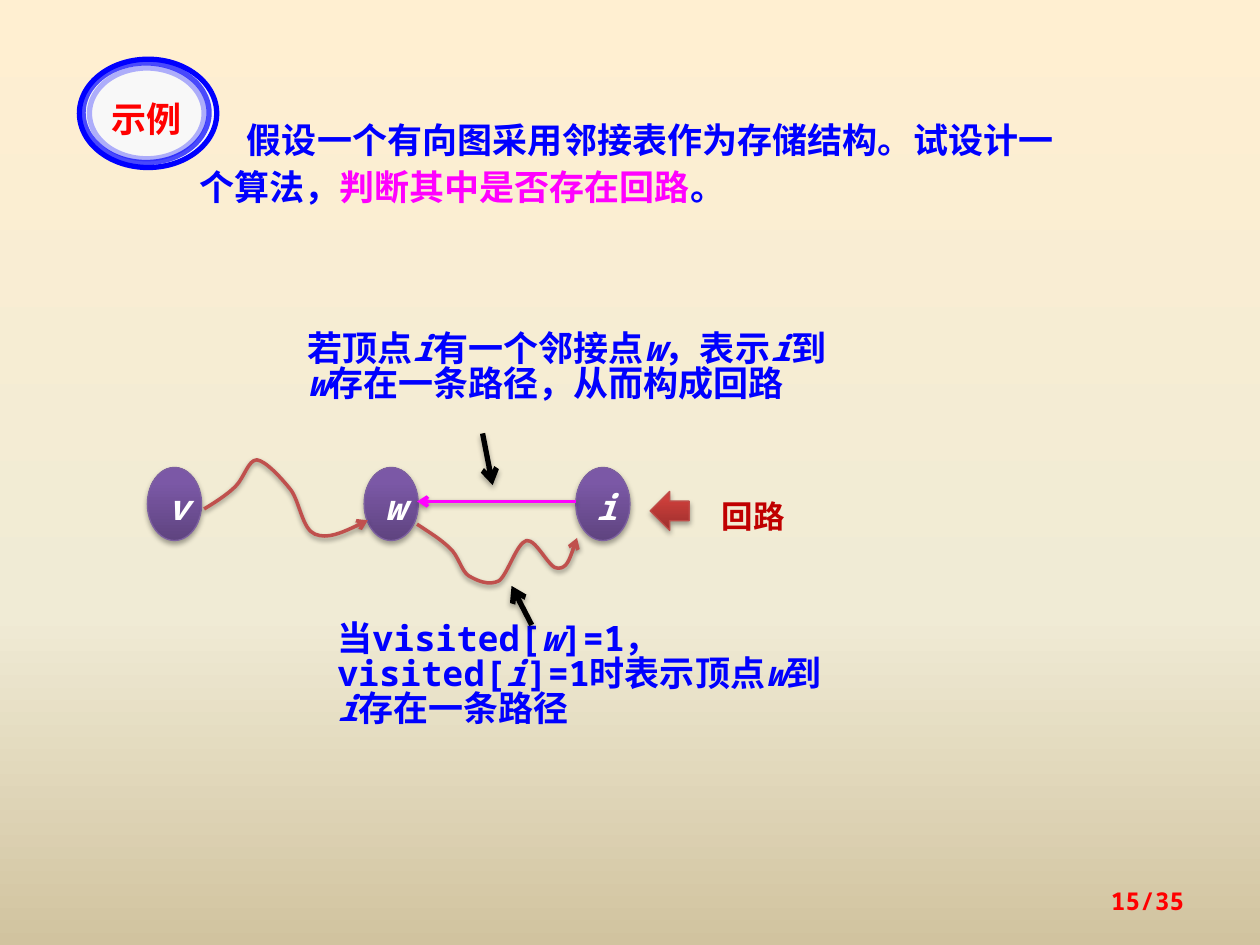
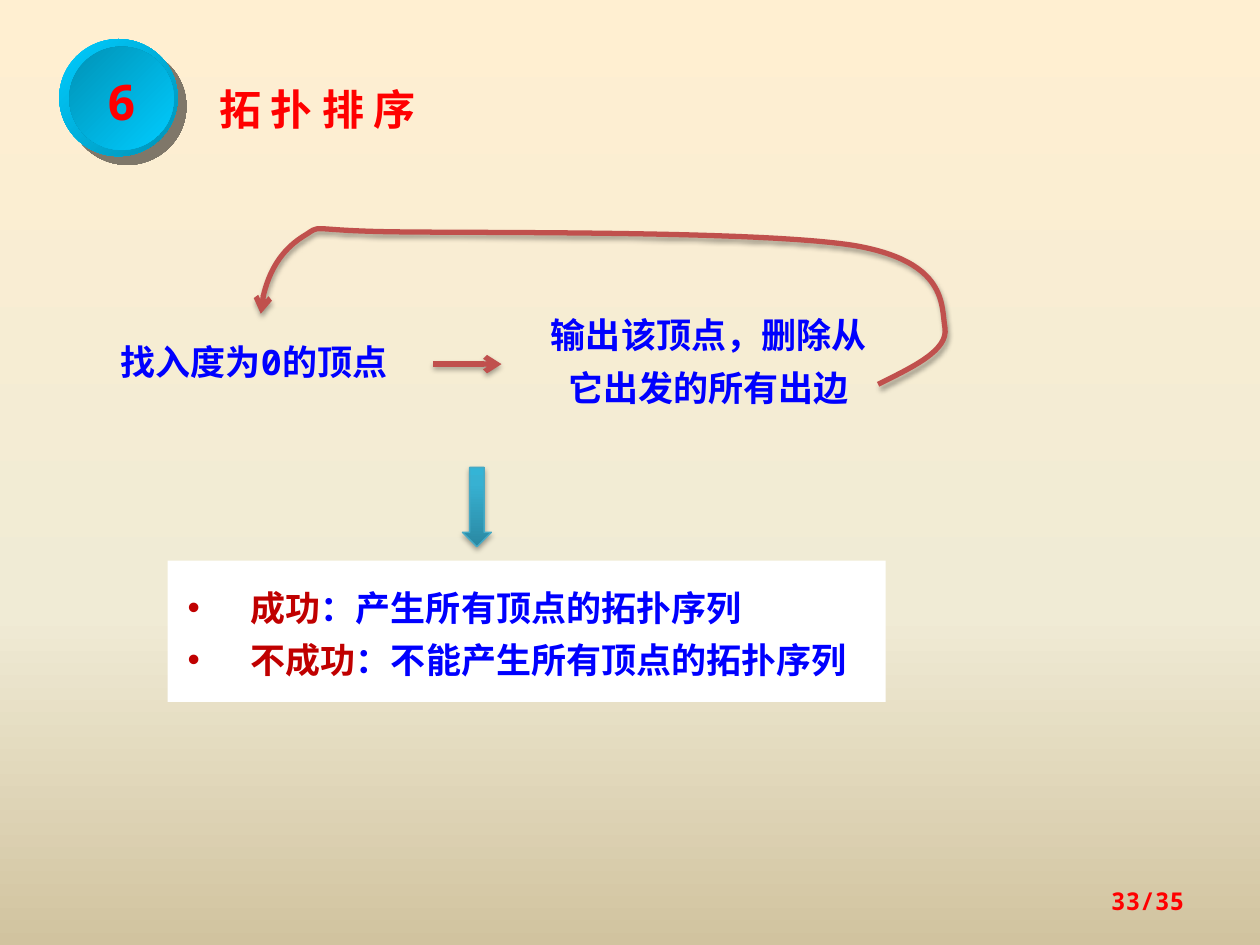
"""Build two slides on cycle detection in a digraph and on topological sorting."""
from dataclasses import dataclass, replace
from typing import Any, Optional

from lxml import etree
from pptx import Presentation
from pptx.dml.color import RGBColor
from pptx.enum.shapes import MSO_CONNECTOR, MSO_SHAPE
from pptx.enum.text import MSO_ANCHOR, MSO_AUTO_SIZE, PP_ALIGN
from pptx.oxml.ns import qn
from pptx.util import Emu, Pt

ELLIPSE, RECTANGLE = MSO_SHAPE.OVAL, MSO_SHAPE.RECTANGLE
LEFT_ARROW, DOWN_ARROW = MSO_SHAPE.LEFT_ARROW, MSO_SHAPE.DOWN_ARROW
STRAIGHT = MSO_CONNECTOR.STRAIGHT
TOP, MIDDLE = MSO_ANCHOR.TOP, MSO_ANCHOR.MIDDLE
LEFT, CENTER, RIGHT = PP_ALIGN.LEFT, PP_ALIGN.CENTER, PP_ALIGN.RIGHT
FIXED_SIZE = MSO_AUTO_SIZE.NONE

PX = 9144
SLIDE_WIDTH, SLIDE_HEIGHT = 1000, 750
TITLE_ONLY, TITLE_AND_CONTENT = 5, 1
BLUE, RED, MAGENTA, DARK_RED = "0000FF", "FF0000", "FF00FF", "C00000"
WHITE, BLACK, BRICK = "FFFFFF", "000000", "C0504D"
CYAN, TEAL = "00CCFF", "0092B6"
MONO, CHINESE = "Noto Sans Mono", "Noto Sans CJK SC"
EMPHASIS_MARK = "*"

Box = tuple[int, int, int, int]
Point = tuple[int, int]


@dataclass(frozen=True)
class Gradient:
    stops: tuple[tuple[int, str], ...]
    angle: int


@dataclass(frozen=True)
class Shadow:
    color: str = BLACK
    alpha: int = 35
    blur: float = 3.1
    distance: float = 1.8
    angle: int = 90


@dataclass(frozen=True)
class Stroke:
    color: str
    width: float
    alpha: int = 100


@dataclass(frozen=True)
class TextStyle:
    size: int = 20
    color: str = BLUE
    font: str = MONO
    italic: bool = False
    emphasis_color: str = ""
    emphasis_italic: bool = False
    spacing: Any = 1.1
    align: Any = LEFT
    anchor: Any = TOP
    margins: Box = (10, 5, 10, 5)
    indent: int = 0
    hanging: int = 0
    wrap: bool = True


@dataclass(frozen=True)
class Look:
    fill: Gradient
    stroke: Stroke


BACKGROUND = Gradient(((0, "FFEFD1"), (65, "F0EBD5"), (100, "D1C39F")), 90)
VERTEX = Look(Gradient(((0, "5F4480"), (80, "7B58A6"), (100, "7C57A8")), 270), Stroke("7D60A0", 0.75))
CYCLE_ARROW = Look(Gradient(((0, "9C2F2D"), (80, "CB3E3A"), (100, "CE3B37")), 270), Stroke("BF4C48", 0.75))
RESULT_ARROW = Look(Gradient(((0, "2A88A2"), (80, "37B1D2"), (100, "34B4D6")), 270), Stroke("46AAC5", 0.75))
SOFT_SHADOW = Shadow()
EDGE_SHADOW = Shadow(alpha=38, distance=1.6)
DISC_SHADOW = Shadow("020202", 50, 0, 7.1, 45)

NOTE = TextStyle(emphasis_italic=True, spacing=Pt(20))
STEP = TextStyle(spacing=Pt(30))
VERTEX_NAME = TextStyle(color=WHITE, italic=True, align=CENTER, anchor=MIDDLE)
PROBLEM = TextStyle(font="Times New Roman", emphasis_color=MAGENTA, indent=38)
HEADING = TextStyle(size=24, color=RED, indent=16)
OUTCOME = TextStyle(spacing=Pt(30), emphasis_color=DARK_RED, margins=(16, 12, 10, 16), hanging=50)
PAGE_NUMBER = TextStyle(size=14, color=RED, spacing=1.0, align=RIGHT, anchor=MIDDLE)


def rgb(color: str) -> RGBColor:
    """Turn a hex string into a colour."""
    return RGBColor.from_string(color)


def px(*lengths: int) -> list[Emu]:
    """Turn px lengths into EMU."""
    return [Emu(length * PX) for length in lengths]


def add_node(parent: Any, tag: str, **attributes: Any) -> Any:
    """Append an XML child with the given attributes."""
    return etree.SubElement(parent, qn(tag), {key: str(value) for key, value in attributes.items()})


def apply_gradient(fill: Any, element: Any, gradient: Gradient) -> None:
    """Give a fill that belongs to an element its gradient."""
    fill.gradient()
    stop_list = element.find(".//" + qn("a:gsLst"))
    stop_list.clear()
    for position, color in gradient.stops:
        stop = add_node(stop_list, "a:gs", pos=position * 1000)
        add_node(stop, "a:srgbClr", val=color)
    element.find(".//" + qn("a:lin")).set("ang", str(gradient.angle * 60000))


def apply_fill(shape: Any, fill: Any) -> None:
    """Fill a shape with a gradient, a colour or nothing."""
    if isinstance(fill, Gradient):
        apply_gradient(shape.fill, shape._element, fill)
    elif fill:
        shape.fill.solid()
        shape.fill.fore_color.rgb = rgb(fill)
    else:
        shape.fill.background()


def apply_stroke(shape: Any, stroke: Optional[Stroke], arrow: bool = False) -> None:
    """Outline a shape, with an arrowhead at its end on request."""
    if stroke is None:
        shape.line.fill.background()
        return
    shape.line.color.rgb = rgb(stroke.color)
    shape.line.width = Pt(stroke.width)
    outline = shape._element.spPr.find(qn("a:ln"))
    if stroke.alpha < 100:
        add_node(outline.find(".//" + qn("a:srgbClr")), "a:alpha", val=stroke.alpha * 1000)
    if arrow:
        add_node(outline, "a:tailEnd", type="arrow")


def apply_shadow(shape: Any, shadow: Optional[Shadow]) -> None:
    """Replace the theme shadow of a shape or connector."""
    effects = add_node(shape._element.spPr, "a:effectLst")
    if shadow:
        outer = add_node(effects, "a:outerShdw", blurRad=int(Pt(shadow.blur)), dist=int(Pt(shadow.distance)),
                         dir=shadow.angle * 60000, algn="ctr", rotWithShape=0)
        color = add_node(outer, "a:srgbClr", val=shadow.color)
        add_node(color, "a:alpha", val=shadow.alpha * 1000)


def write(shape: Any, lines: list[str], style: TextStyle) -> None:
    """Write paragraphs whose marked parts are emphasised."""
    frame = shape.text_frame
    frame.word_wrap = style.wrap
    frame.auto_size = FIXED_SIZE
    frame.vertical_anchor = style.anchor
    frame.margin_left, frame.margin_top, frame.margin_right, frame.margin_bottom = px(*style.margins)
    for index, line in enumerate(lines):
        paragraph = frame.add_paragraph() if index else frame.paragraphs[0]
        properties = paragraph._p.get_or_add_pPr()
        properties.set("marL", str(style.hanging * PX))
        properties.set("indent", str((style.indent - style.hanging) * PX))
        if style.hanging:
            add_node(properties, "a:buChar", char="•")
        paragraph.alignment = style.align
        paragraph.line_spacing = style.spacing
        paragraph.space_before = Pt(0)
        for order, part in enumerate(line.split(EMPHASIS_MARK)):
            if part:
                run = paragraph.add_run()
                run.text = part
                format_run(run, style, emphasised=order % 2 == 1)


def format_run(run: Any, style: TextStyle, emphasised: bool) -> None:
    """Give a run its font and colour."""
    font = run.font
    font.size, font.bold, font.name = Pt(style.size), True, style.font
    font.italic = style.italic or (emphasised and style.emphasis_italic)
    font.color.rgb = rgb(style.emphasis_color if emphasised and style.emphasis_color else style.color)
    add_node(run._r.get_or_add_rPr(), "a:ea", typeface=CHINESE)


def add_text(slide: Any, box: Box, text: str, style: TextStyle) -> None:
    """Add a text box."""
    write(slide.shapes.add_textbox(*px(*box)), [text], style)


def fill_placeholder(placeholder: Any, box: Box, lines: list[str], style: TextStyle) -> None:
    """Move a placeholder and write its text."""
    placeholder.left, placeholder.top, placeholder.width, placeholder.height = px(*box)
    write(placeholder, lines, style)


def add_figure(slide: Any, kind: Any, box: Box, fill: Any = None, stroke: Optional[Stroke] = None,
               shadow: Optional[Shadow] = None) -> Any:
    """Add a preset shape."""
    figure = slide.shapes.add_shape(kind, *px(*box))
    apply_fill(figure, fill)
    apply_stroke(figure, stroke)
    apply_shadow(figure, shadow)
    return figure


def add_arrow(slide: Any, start: Point, end: Point, stroke: Stroke, shadow: Shadow = SOFT_SHADOW) -> None:
    """Add a straight arrow."""
    arrow = slide.shapes.add_connector(STRAIGHT, *px(*start, *end))
    apply_stroke(arrow, stroke, arrow=True)
    apply_shadow(arrow, shadow)


def add_curve(slide: Any, points: list[Point], stroke: Stroke, shadow: Shadow) -> None:
    """Add a curved arrow from a start and triples of Bézier points."""
    builder = slide.shapes.build_freeform(*points[0], scale=PX)
    builder.add_line_segments(points[1:], close=False)
    curve = builder.convert_to_shape()
    route = curve._element.find(".//" + qn("a:path"))
    segments = route.findall(qn("a:lnTo"))
    for first in range(0, len(segments), 3):
        bezier = add_node(route, "a:cubicBezTo")
        for segment in segments[first:first + 3]:
            bezier.append(segment[0])
            route.remove(segment)
    apply_fill(curve, None)
    apply_stroke(curve, stroke, arrow=True)
    apply_shadow(curve, shadow)


def start_slide(deck: Any, layout: int, page: int, title_box: Box, title: str, style: TextStyle) -> Any:
    """Add a slide with its title and page number."""
    slide = deck.slides.add_slide(deck.slide_layouts[layout])
    fill_placeholder(slide.shapes.title, title_box, [title], style)
    add_text(slide, (717, 695, 233, 40), f"{page}/35", PAGE_NUMBER)
    return slide


def build_cycle_slide(deck: Any) -> None:
    """Build the example of finding a cycle."""
    slide = start_slide(deck, TITLE_ONLY, 15, (148, 86, 719, 84),
                        "假设一个有向图采用邻接表作为存储结构。试设计一个算法，*判断其中是否存在回路*。", PROBLEM)
    for left, name in ((117, "v"), (289, "w"), (457, "i")):
        vertex = add_figure(slide, ELLIPSE, (left, 371, 43, 58), VERTEX.fill, VERTEX.stroke, SOFT_SHADOW)
        write(vertex, [name], VERTEX_NAME)

    edge = Stroke(BRICK, 2)
    add_curve(slide, [(162, 404), (172, 398), (181, 392), (187, 386), (194, 379), (197, 365), (204, 365),
                      (211, 366), (223, 379), (231, 389), (238, 399), (240, 420), (250, 424),
                      (260, 428), (276, 421), (292, 413)], edge, EDGE_SHADOW)
    add_curve(slide, [(331, 416), (340, 422), (350, 428), (357, 435), (364, 441), (366, 453), (372, 457),
                      (379, 461), (388, 465), (396, 461), (403, 456), (410, 431), (418, 429),
                      (426, 428), (436, 452), (443, 451), (450, 451), (454, 439), (458, 427)], edge, EDGE_SHADOW)
    add_arrow(slide, (457, 398), (331, 398), Stroke(MAGENTA, 2), EDGE_SHADOW)

    pointer = Stroke(BLACK, 3)
    add_text(slide, (258, 490, 406, 94), "当visited[*w*]=1，visited[*i*]=1时表示顶点*w*到*i*存在一条路径", NOTE)
    add_arrow(slide, (422, 496), (406, 465), pointer)
    add_text(slide, (234, 260, 445, 66), "若顶点*i*有一个邻接点*w*，表示*i*到*w*存在一条路径，从而构成回路", NOTE)
    add_arrow(slide, (383, 344), (391, 385), pointer)

    add_text(slide, (563, 378, 86, 52), "回路", replace(STEP, size=18, color=DARK_RED, font=CHINESE))
    add_figure(slide, LEFT_ARROW, (516, 390, 31, 31), CYCLE_ARROW.fill, CYCLE_ARROW.stroke, SOFT_SHADOW)

    for box, fill, alpha in (((63, 47, 109, 86), "F8F8F8", 100), ((66, 50, 100, 79), None, 70),
                             ((71, 54, 91, 72), None, 30)):
        add_figure(slide, ELLIPSE, box, fill, Stroke(BLUE, 3, alpha))
    add_text(slide, (68, 69, 96, 39), "示例", TextStyle(color=RED, font="Noto Sans CJK JP", align=CENTER))


def build_sorting_slide(deck: Any) -> None:
    """Build the loop of topological sorting and its outcomes."""
    slide = start_slide(deck, TITLE_AND_CONTENT, 33, (148, 57, 305, 52), "拓 扑 排 序", HEADING)
    add_figure(slide, ELLIPSE, (47, 31, 94, 93), Gradient(((0, CYAN), (100, TEAL)), 45), shadow=DISC_SHADOW)
    section = add_figure(slide, ELLIPSE, (55, 37, 83, 82), Gradient(((0, TEAL), (100, CYAN)), 45))
    write(section, ["6"], TextStyle(size=28, color=RED, align=CENTER, anchor=MIDDLE, wrap=False))

    flow = Stroke(BRICK, 3)
    add_text(slide, (86, 257, 250, 48), "找入度为0的顶点", STEP)
    add_text(slide, (414, 236, 297, 90), "输出该顶点，删除从它出发的所有出边", replace(STEP, align=CENTER))
    add_arrow(slide, (344, 289), (398, 289), flow)
    add_curve(slide, [(697, 305), (725, 291), (753, 278), (750, 260), (747, 242), (752, 208), (679, 195),
                      (606, 183), (386, 185), (313, 184), (239, 183), (258, 177), (240, 188),
                      (223, 199), (208, 224), (207, 249)], flow, SOFT_SHADOW)

    add_figure(slide, DOWN_ARROW, (367, 371, 23, 63), RESULT_ARROW.fill, RESULT_ARROW.stroke, SOFT_SHADOW)
    outcomes = slide.placeholders[1]
    fill_placeholder(outcomes, (133, 445, 570, 112),
                     ["*成功*：产生所有顶点的拓扑序列", "*不成功*：不能产生所有顶点的拓扑序列"], OUTCOME)
    apply_fill(outcomes, WHITE)


def main() -> None:
    """Build and save the deck."""
    deck = Presentation()
    deck.slide_width, deck.slide_height = px(SLIDE_WIDTH, SLIDE_HEIGHT)
    master = deck.slide_master
    apply_gradient(master.background.fill, master._element, BACKGROUND)
    build_cycle_slide(deck)
    build_sorting_slide(deck)
    deck.save("out.pptx")


if __name__ == "__main__":
    main()
